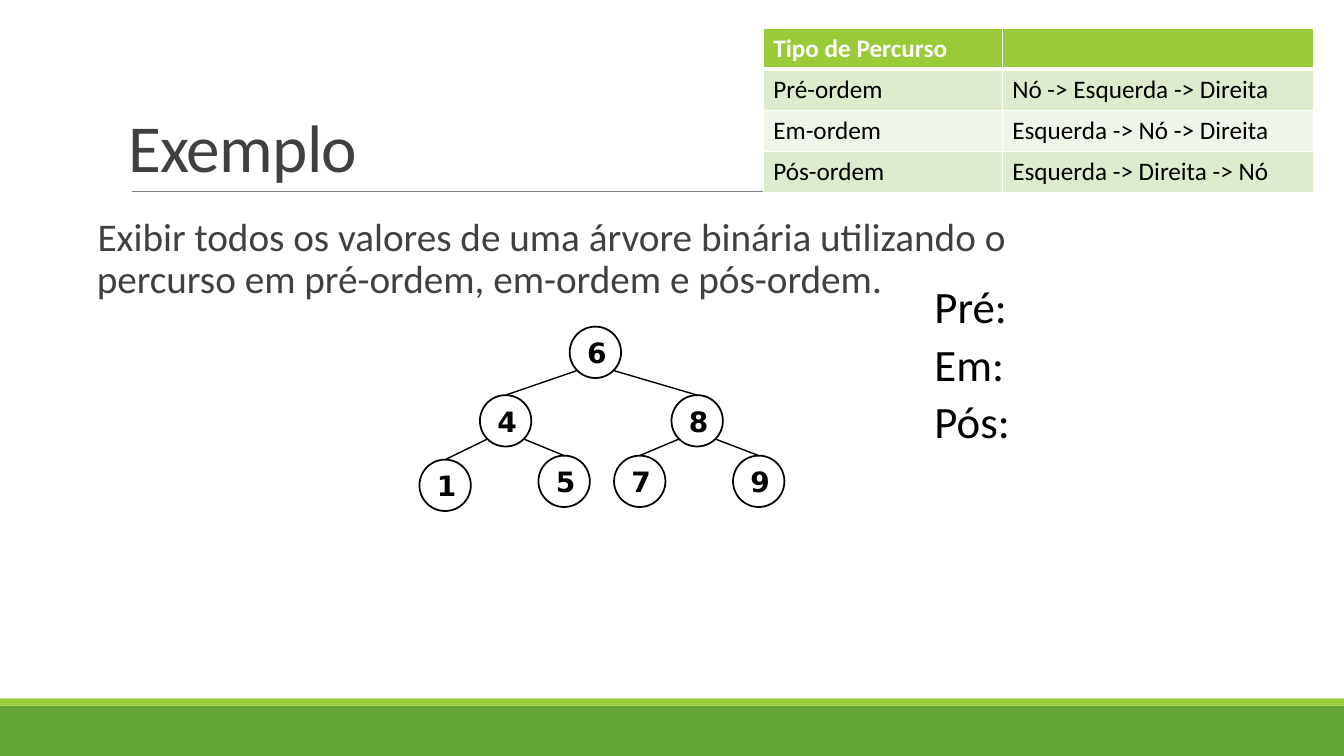
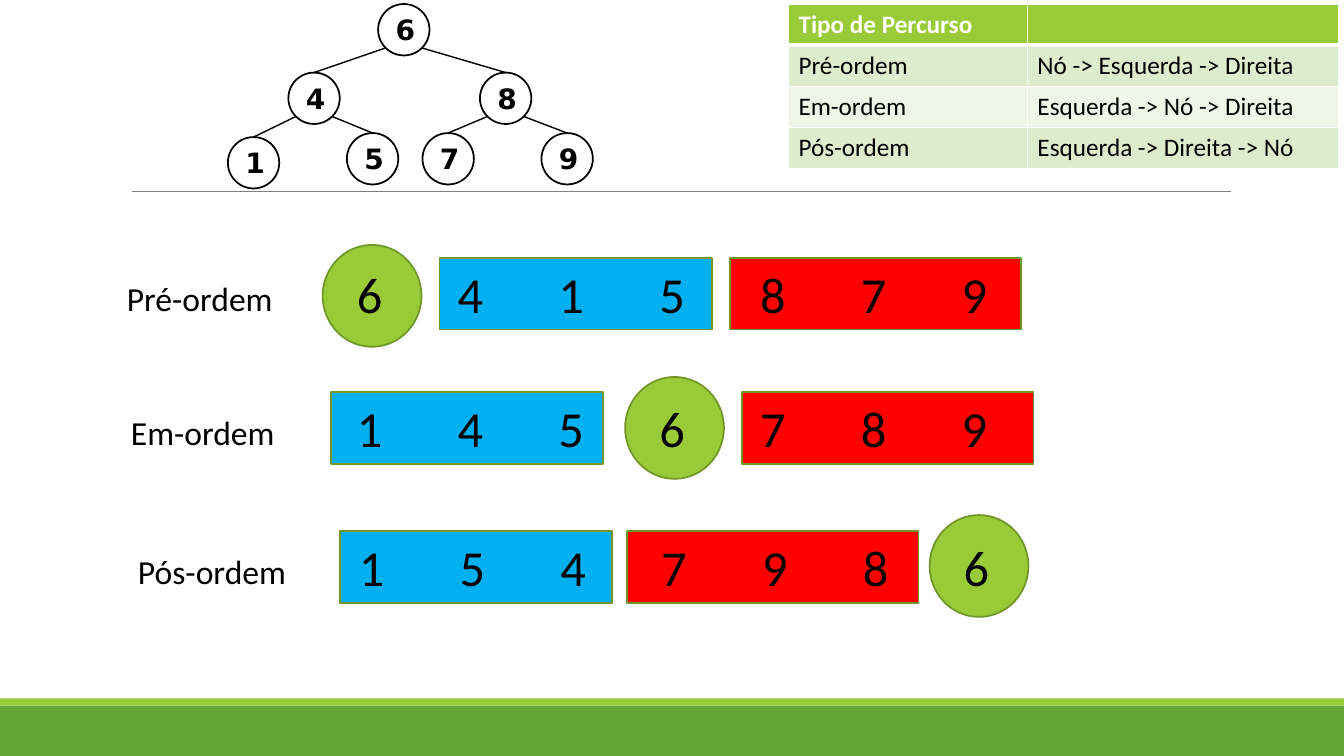
from dataclasses import dataclass

from lxml import etree
from pptx import Presentation
from pptx.dml.color import RGBColor
from pptx.enum import shapes as kinds, text as txt
from pptx.oxml.ns import qn
from pptx.util import Inches, Pt

HUES = {
    "band": "63A537", "lime": "99CB38", "edge": "719629", "rule": "808080",
    "head": "404040", "ink": "000000", "white": "FFFFFF", "red": "FF0000",
    "blue": "00B0F0", "pale": "DEECCE", "faint": "EFF6E8",
}
RECT = kinds.MSO_SHAPE.RECTANGLE
OVAL = kinds.MSO_SHAPE.OVAL
MID = txt.MSO_ANCHOR.MIDDLE
NODE = 0.51  # diameter of a tree node

ORDERS = [
    ("Tipo de Percurso", ""),
    ("Pré-ordem", "Nó -> Esquerda -> Direita"),
    ("Em-ordem", "Esquerda -> Nó -> Direita"),
    ("Pós-ordem", "Esquerda -> Direita -> Nó"),
]


@dataclass
class Node:
    key: str
    dx: float  # offset from the root
    dy: float
    up: str = ""  # key of the parent


@dataclass
class Walk:
    name: str
    keys: str
    top: float
    name_x: float
    keys_x: float
    root_x: float
    root_y: float
    left_x: float
    right_x: float


TREE = [
    Node("6", 0, 0),
    Node("4", -0.89, 0.68, "6"),
    Node("8", 1.01, 0.68, "6"),
    Node("1", -1.49, 1.32, "4"),
    Node("5", -0.31, 1.28, "4"),
    Node("7", 0.44, 1.28, "8"),
    Node("9", 1.62, 1.28, "8"),
]
WALKS = [
    Walk("Pré-ordem", "6415879", 2.56, 1.16, 3.44, 3.2, 2.43, 4.36, 7.24),
    Walk("Em-ordem", "1456789", 3.89, 1.2, 3.44, 6.2, 3.74, 3.28, 7.36),
    Walk("Pós-ordem", "1547986", 5.27, 1.27, 3.46, 9.22, 5.11, 3.37, 6.22),
]


def hue(name: str) -> RGBColor:
    return RGBColor.from_string(HUES[name])


def write(frame, words: str, *, size: float, ink="ink", font="Calibri",
          bold=False, align=txt.PP_ALIGN.LEFT, lead=None):
    """Put one formatted run in the first paragraph and return the paragraph."""
    para = frame.paragraphs[0]
    para.alignment = align
    if lead:
        para.line_spacing = lead
    run = para.add_run()
    run.text = words
    run.font.name, run.font.size, run.font.bold = font, Pt(size), bold
    run.font.color.rgb = hue(ink)
    return para


def place(item, x: float, y: float, w: float, h: float) -> None:
    item.left, item.top = Inches(x), Inches(y)
    item.width, item.height = Inches(w), Inches(h)


def block(page, kind, x: float, y: float, w: float, h: float, fill: str,
          edge: str = ""):
    item = page.shapes.add_shape(kind, Inches(x), Inches(y), Inches(w), Inches(h))
    item.shadow.inherit = False
    item.fill.solid()
    item.fill.fore_color.rgb = hue(fill)
    if edge:
        item.line.color.rgb = hue(edge)
        item.line.width = Pt(1.25)
    else:
        item.line.fill.background()
    return item


def rule(page, x1: float, y1: float, x2: float, y2: float, ink: str, width: float):
    line = page.shapes.add_connector(
        kinds.MSO_CONNECTOR.STRAIGHT, Inches(x1), Inches(y1), Inches(x2), Inches(y2))
    line.line.color.rgb = hue(ink)
    line.line.width = Pt(width)
    etree.SubElement(line._element.spPr, qn("a:effectLst"))
    return line


def label(page, words: str, x: float, y: float, w: float, h: float, size: float):
    box = page.shapes.add_textbox(Inches(x), Inches(y), Inches(w), Inches(h))
    box.text_frame.word_wrap = False
    box.text_frame.auto_size = txt.MSO_AUTO_SIZE.SHAPE_TO_FIT_TEXT
    return write(box.text_frame, words, size=size)


def tabs(para, count: int) -> None:
    """Set tab stops one inch apart."""
    stops = etree.SubElement(para._p.get_or_add_pPr(), qn("a:tabLst"))
    for i in range(1, count + 1):
        etree.SubElement(stops, qn("a:tab"), pos=str(Inches(i)), algn="l")


def start(deck, layout: int):
    """Add a slide with the shared bands and rule."""
    page = deck.slides.add_slide(deck.slide_layouts[layout])
    block(page, RECT, 0, 7, 13.33, 0.5, "band")
    block(page, RECT, 0, 6.93, 13.33, 0.07, "lime")
    rule(page, 1.31, 1.9, 12.21, 1.9, "rule", 0.5)
    return page


def tree(page, x: float, y: float) -> None:
    """Draw the binary tree with its root's corner at x, y."""
    spots = {}
    for node in TREE:
        item = block(page, OVAL, x + node.dx, y + node.dy, NODE, NODE, "white", "ink")
        item.text_frame.vertical_anchor = MID
        write(item.text_frame, node.key, size=20, font="DejaVu Sans", bold=True,
              align=txt.PP_ALIGN.CENTER)
        spots[node.key] = node, item
    reach = NODE / 2 * 0.71  # diagonal point on the circle
    for node, item in spots.values():
        if not node.up:
            continue
        head = spots[node.up][0]
        side = reach if node.dx > head.dx else -reach
        mid_x, mid_y = x + head.dx + NODE / 2, y + head.dy + NODE / 2
        line = rule(page, mid_x + side, mid_y + reach,
                    x + node.dx + NODE / 2, y + node.dy, "ink", 1)
        line.end_connect(item, 0)


def under(cell, width: float) -> None:
    """Give a cell a white bottom border."""
    line = etree.Element(qn("a:lnB"), w=str(Pt(width)))
    fill = etree.SubElement(line, qn("a:solidFill"))
    etree.SubElement(fill, qn("a:srgbClr"), val=HUES["white"])
    cell._tc.get_or_add_tcPr().insert(0, line)


def grid(page, x: float, y: float) -> None:
    """Draw the table of traversal orders."""
    table = page.shapes.add_table(
        len(ORDERS), 2, Inches(x), Inches(y), Inches(5.46), Inches(1.63)).table
    for col, width in zip(table.columns, (2.37, 3.09)):
        col.width = Inches(width)
    for r, row in enumerate(ORDERS):
        fill = "lime" if r == 0 else "pale" if r % 2 else "faint"
        for c, words in enumerate(row):
            cell = table.cell(r, c)
            cell.fill.solid()
            cell.fill.fore_color.rgb = hue(fill)
            if r == 0:
                under(cell, 3)
            if words:
                write(cell.text_frame, words, size=18, bold=r == 0,
                      ink="ink" if r else "white")


def task(deck) -> None:
    page = start(deck, 1)
    title, body = page.shapes.title, page.placeholders[1]
    place(title, 1.17, 0.31, 11, 1.59)
    title.text_frame.vertical_anchor = txt.MSO_ANCHOR.BOTTOM
    title.text_frame.auto_size = txt.MSO_AUTO_SIZE.NONE
    para = write(title.text_frame, "Exemplo", size=48, ink="head", lead=0.85)
    para.runs[0].font._element.set("spc", "-50")

    place(body, 0.86, 2.11, 9.4, 0.75)
    frame = body.text_frame
    frame.margin_left = frame.margin_right = 0
    frame.vertical_anchor = txt.MSO_ANCHOR.TOP
    frame.auto_size = txt.MSO_AUTO_SIZE.NONE
    para = write(
        frame, "Exibir todos os valores de uma árvore binária utilizando o "
        "percurso em pré-ordem, em-ordem e pós-ordem.",
        size=28, ink="head", lead=0.9)
    para.space_before, para.space_after = Pt(12), Pt(2)
    props = para._p.get_or_add_pPr()
    props.set("marL", str(Inches(0.1)))
    props.set("indent", str(Inches(-0.1)))
    etree.SubElement(props, qn("a:buChar")).set("char", " ")

    tree(page, 5.65, 3.24)
    grid(page, 7.57, 0.28)
    for i, words in enumerate(("Pré:", "Em:", "Pós:")):
        label(page, words, 9.17, 2.72 + 0.57 * i, 1.06, 0.64, 32)


def answer(deck) -> None:
    page = start(deck, 6)
    tree(page, 3.75, 0.04)
    grid(page, 7.82, 0.04)
    for walk in WALKS:
        block(page, RECT, walk.right_x, walk.top, 2.89, 0.71, "red", "edge")
        block(page, RECT, walk.left_x, walk.top, 2.7, 0.71, "blue", "edge")
        block(page, OVAL, walk.root_x, walk.root_y, 0.98, 1.01, "lime", "edge")
        keys = label(page, "\t".join(walk.keys), walk.keys_x, walk.top, 6.52, 0.71, 36)
        tabs(keys, len(walk.keys) - 1)
        label(page, walk.name, walk.name_x, walk.top + 0.15, 1.7, 0.5, 24)


def main() -> None:
    deck = Presentation()
    deck.slide_width, deck.slide_height = Inches(13.33), Inches(7.5)
    task(deck)
    answer(deck)
    deck.save("out.pptx")


if __name__ == "__main__":
    main()
